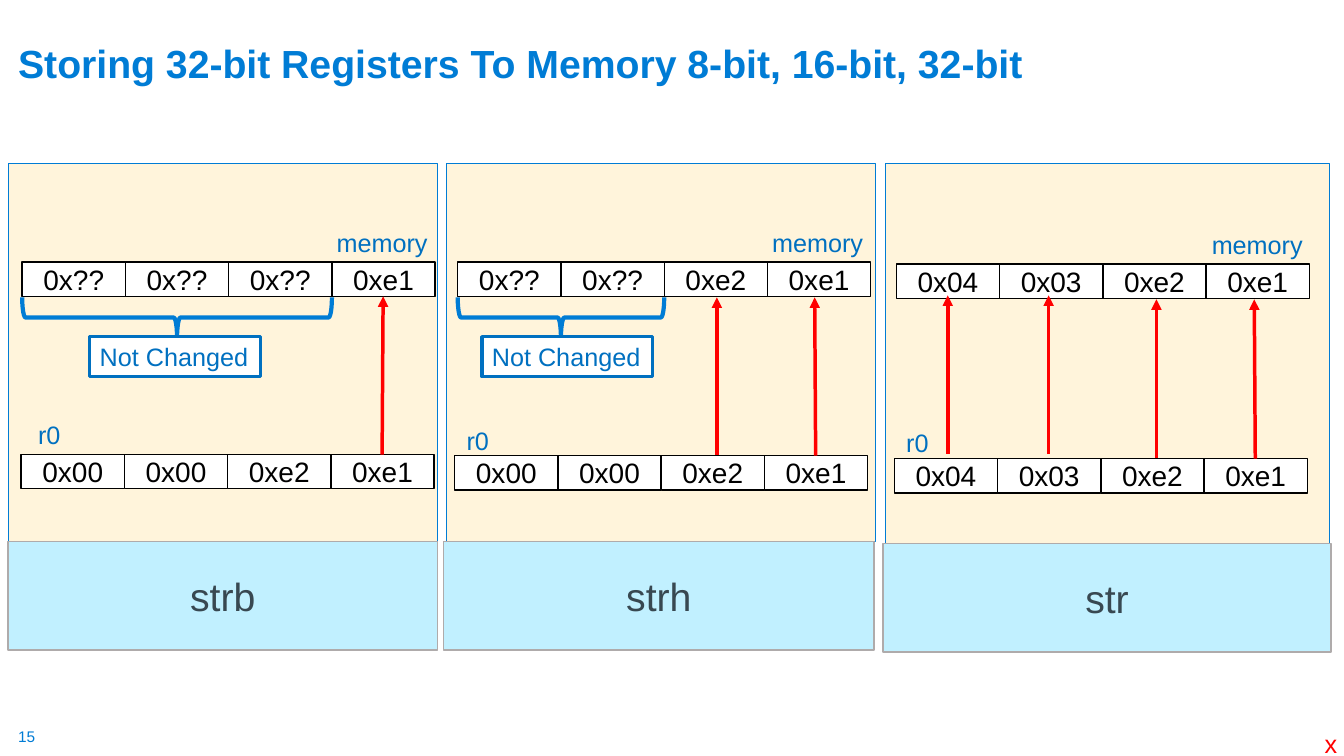
"""Build a slide showing how strb, strh and str store a 32-bit register to memory."""
from dataclasses import dataclass

from lxml import etree
from pptx import Presentation
from pptx.dml.color import RGBColor
from pptx.enum.shapes import MSO_CONNECTOR, MSO_SHAPE
from pptx.enum.text import MSO_ANCHOR, MSO_AUTO_SIZE, PP_ALIGN
from pptx.oxml.ns import qn
from pptx.shapes.autoshape import Shape
from pptx.shapes.shapetree import GroupShapes
from pptx.text.text import TextFrame
from pptx.util import Inches, Pt

RECTANGLE = MSO_SHAPE.RECTANGLE
LEFT_BRACE = MSO_SHAPE.LEFT_BRACE
STRAIGHT = MSO_CONNECTOR.STRAIGHT
LEFT, CENTER = PP_ALIGN.LEFT, PP_ALIGN.CENTER
TOP, MIDDLE, BOTTOM = MSO_ANCHOR.TOP, MSO_ANCHOR.MIDDLE, MSO_ANCHOR.BOTTOM
NO_AUTOFIT = MSO_AUTO_SIZE.NONE

CELL_WIDTH, CELL_HEIGHT = 1.024, 0.34
LABEL_HEIGHT = 0.4
BRACE_DEPTH = 0.4
NOTE_WIDTH = 1.69


@dataclass(frozen=True)
class Theme:
    """Colours, font and type sizes of the slide."""
    font: str = "Arial"
    accent: str = "007CD5"
    label: str = "0070C0"
    arrow: str = "FF0000"
    ink: str = "000000"
    paper: str = "FFFFFF"
    panel: str = "FFF4DB"
    caption_fill: str = "C1F0FF"
    caption_line: str = "AFABAB"
    caption_text: str = "384851"
    heading_size: int = 28
    cell_size: int = 20
    label_size: int = 18
    number_size: int = 11


@dataclass(frozen=True)
class Area:
    """Position and size in inches."""
    left: float
    top: float
    width: float
    height: float


@dataclass(frozen=True)
class Row:
    """Four bytes side by side, with the place of the row's label."""
    left: float
    top: float
    values: tuple[str, ...]
    label: str
    label_left: float
    label_top: float
    label_width: float


@dataclass(frozen=True)
class Arrow:
    """A store from a register byte up to a memory byte."""
    start: tuple[float, float]
    end: tuple[float, float]


@dataclass(frozen=True)
class Panel:
    """One store instruction with its register, memory and arrows."""
    instruction: str
    body: Area
    caption: Area
    register: Row
    memory: Row
    arrows: tuple[Arrow, ...]
    unchanged: int = 0
    note_left: float = 0


THEME = Theme()

PANELS = (
    Panel("strb", Area(0.08, 1.62, 4.26, 3.75), Area(0.08, 5.37, 4.26, 1.08),
          Row(0.21, 4.51, ("0x00", "0x00", "0xe2", "0xe1"), "r0", 0.28, 4.11, 0.43),
          Row(0.22, 2.6, ("0x??", "0x??", "0x??", "0xe1"), "memory", 3.24, 2.21, 1.11),
          (Arrow((3.79, 4.51), (3.8, 2.94)),), 3, 0.89),
    Panel("strh", Area(4.43, 1.62, 4.25, 3.75), Area(4.4, 5.37, 4.27, 1.08),
          Row(4.51, 4.52, ("0x00", "0x00", "0xe2", "0xe1"), "r0", 4.53, 4.17, 0.43),
          Row(4.54, 2.6, ("0x??", "0x??", "0xe2", "0xe1"), "memory", 7.56, 2.21, 1.11),
          (Arrow((8.09, 4.52), (8.08, 2.95)), Arrow((7.11, 4.51), (7.11, 2.95))), 2, 4.78),
    Panel("str", Area(8.78, 1.62, 4.41, 3.78), Area(8.76, 5.39, 4.44, 1.08),
          Row(8.87, 4.55, ("0x04", "0x03", "0xe2", "0xe1"), "r0", 8.89, 4.19, 0.43),
          Row(8.89, 2.62, ("0x04", "0x03", "0xe2", "0xe1"), "memory", 11.92, 2.23, 1.11),
          (Arrow((12.45, 4.55), (12.44, 2.97)), Arrow((11.47, 4.54), (11.47, 2.97)),
           Arrow((10.4, 4.5), (10.4, 2.93)), Arrow((9.4, 4.5), (9.4, 2.93)))),
)


def inches(area: Area) -> tuple[int, ...]:
    """Return the area as four lengths."""
    return tuple(Inches(side) for side in (area.left, area.top, area.width, area.height))


def write(frame: TextFrame, text: str, size: int, color: str, align: PP_ALIGN = LEFT,
          anchor: MSO_ANCHOR = TOP, bold: bool = False, wrap: bool = False) -> None:
    """Put one formatted run into the frame."""
    frame.word_wrap = wrap
    frame.auto_size = NO_AUTOFIT
    frame.vertical_anchor = anchor
    para = frame.paragraphs[0]
    para.alignment = align
    span = para.add_run()
    span.text = text
    span.font.name = THEME.font
    span.font.size = Pt(size)
    span.font.bold = bold
    span.font.color.rgb = RGBColor.from_string(color)


def draw_box(shapes: GroupShapes, area: Area, fill: str, line: str, weight: float) -> Shape:
    """Draw a filled and outlined rectangle."""
    box = shapes.add_shape(RECTANGLE, *inches(area))
    box.shadow.inherit = False
    box.fill.solid()
    box.fill.fore_color.rgb = RGBColor.from_string(fill)
    box.line.color.rgb = RGBColor.from_string(line)
    box.line.width = Pt(weight)
    return box


def draw_label(shapes: GroupShapes, area: Area, text: str, color: str) -> None:
    """Draw a line of plain text."""
    write(shapes.add_textbox(*inches(area)).text_frame, text, THEME.label_size, color)


def draw_row(shapes: GroupShapes, row: Row) -> None:
    """Draw a labelled row of bytes."""
    for index, value in enumerate(row.values):
        area = Area(row.left + index * CELL_WIDTH, row.top, CELL_WIDTH, CELL_HEIGHT)
        cell = draw_box(shapes, area, THEME.paper, THEME.ink, 1)
        write(cell.text_frame, value, THEME.cell_size, THEME.ink, CENTER, MIDDLE, wrap=True)
    draw_label(shapes, Area(row.label_left, row.label_top, row.label_width, LABEL_HEIGHT),
               row.label, THEME.label)


def draw_arrow(shapes: GroupShapes, arrow: Arrow) -> None:
    """Draw a line with a triangle at its end."""
    ends = (Inches(value) for value in arrow.start + arrow.end)
    connector = shapes.add_connector(STRAIGHT, *ends)
    connector.line.color.rgb = RGBColor.from_string(THEME.arrow)
    connector.line.width = Pt(2.5)
    etree.SubElement(connector.line._get_or_add_ln(), qn("a:tailEnd"), type="triangle")
    etree.SubElement(connector._element.spPr, qn("a:effectLst"))


def draw_unchanged(shapes: GroupShapes, panel: Panel) -> None:
    """Draw a brace under the untouched bytes, and its note."""
    span_width = panel.unchanged * CELL_WIDTH
    middle_x = panel.memory.left + span_width / 2
    middle_y = panel.memory.top + CELL_HEIGHT + 0.01 + BRACE_DEPTH / 2
    brace = shapes.add_shape(LEFT_BRACE, *inches(Area(
        middle_x - BRACE_DEPTH / 2, middle_y - span_width / 2, BRACE_DEPTH, span_width)))
    brace.rotation = 270
    brace.shadow.inherit = False
    brace.fill.background()
    brace.line.color.rgb = RGBColor.from_string(THEME.accent)
    brace.line.width = Pt(3)
    note = draw_box(shapes, Area(panel.note_left, 3.34, NOTE_WIDTH, LABEL_HEIGHT),
                    THEME.paper, THEME.label, 2.25)
    write(note.text_frame, "Not Changed", THEME.label_size, THEME.label)


def draw_panel(shapes: GroupShapes, panel: Panel) -> None:
    """Draw everything that belongs to one instruction."""
    draw_box(shapes, panel.body, THEME.panel, THEME.accent, 0.75)
    caption = draw_box(shapes, panel.caption, THEME.caption_fill, THEME.caption_line, 1)
    write(caption.text_frame, panel.instruction, THEME.heading_size, THEME.caption_text,
          CENTER, MIDDLE, wrap=True)
    draw_row(shapes, panel.register)
    draw_row(shapes, panel.memory)
    for arrow in panel.arrows:
        draw_arrow(shapes, arrow)
    if panel.unchanged:
        draw_unchanged(shapes, panel)


def main() -> None:
    """Build and save the deck."""
    deck = Presentation()
    deck.slide_width, deck.slide_height = Inches(13.33), Inches(7.5)
    page = deck.slides.add_slide(deck.slide_layouts[5])
    title = page.shapes.title
    title.left, title.top, title.width, title.height = inches(Area(0.08, 0.13, 13.16, 0.78))
    write(title.text_frame, "Storing 32-bit Registers To Memory 8-bit, 16-bit, 32-bit",
          THEME.heading_size, THEME.accent, anchor=BOTTOM, bold=True, wrap=True)
    title.text_frame.paragraphs[0].line_spacing = 0.9
    for panel in PANELS:
        draw_panel(page.shapes.add_group_shape().shapes, panel)
    draw_label(page.shapes, Area(13.04, 7.18, 0.33, LABEL_HEIGHT), "x", THEME.arrow)
    number = page.shapes.add_textbox(*inches(Area(0.18, 7.21, 0.19, 0.19))).text_frame
    number.margin_left = number.margin_top = number.margin_right = number.margin_bottom = 0
    write(number, "15", THEME.number_size, THEME.accent)
    deck.save("out.pptx")


if __name__ == "__main__":
    main()
